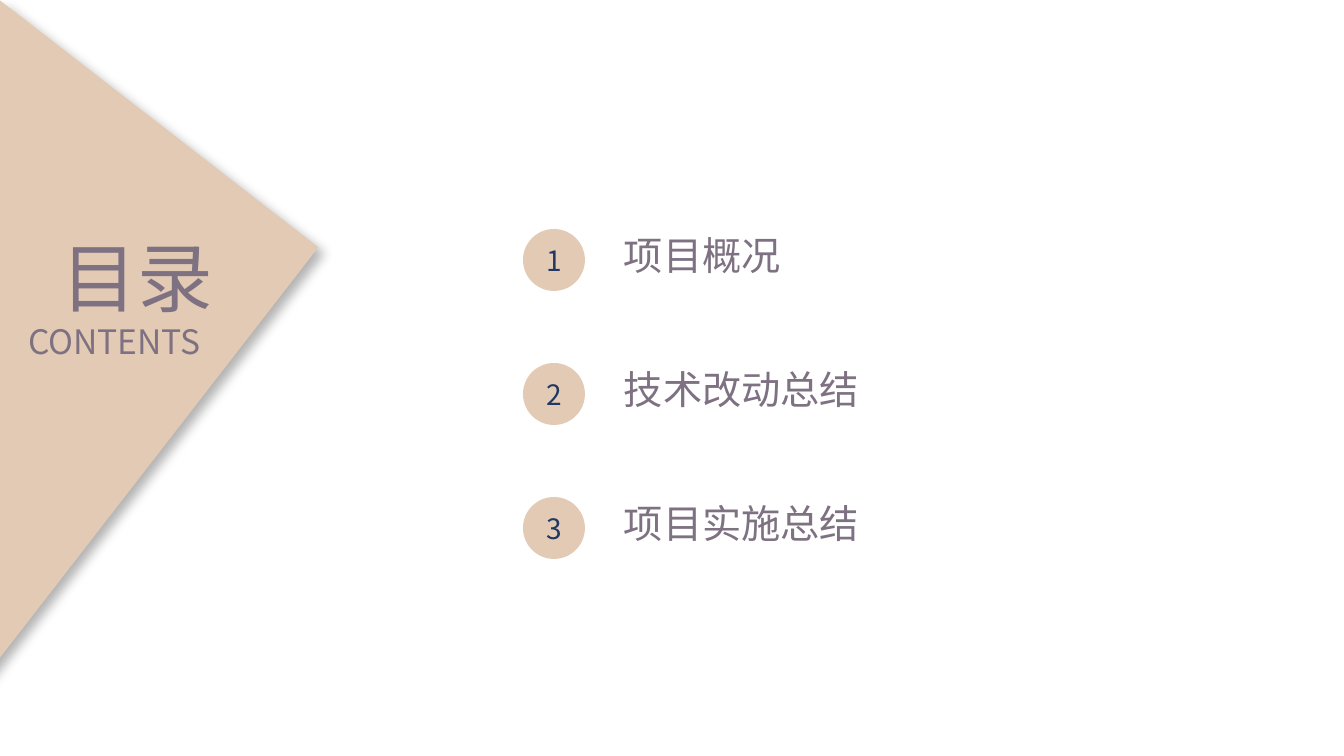
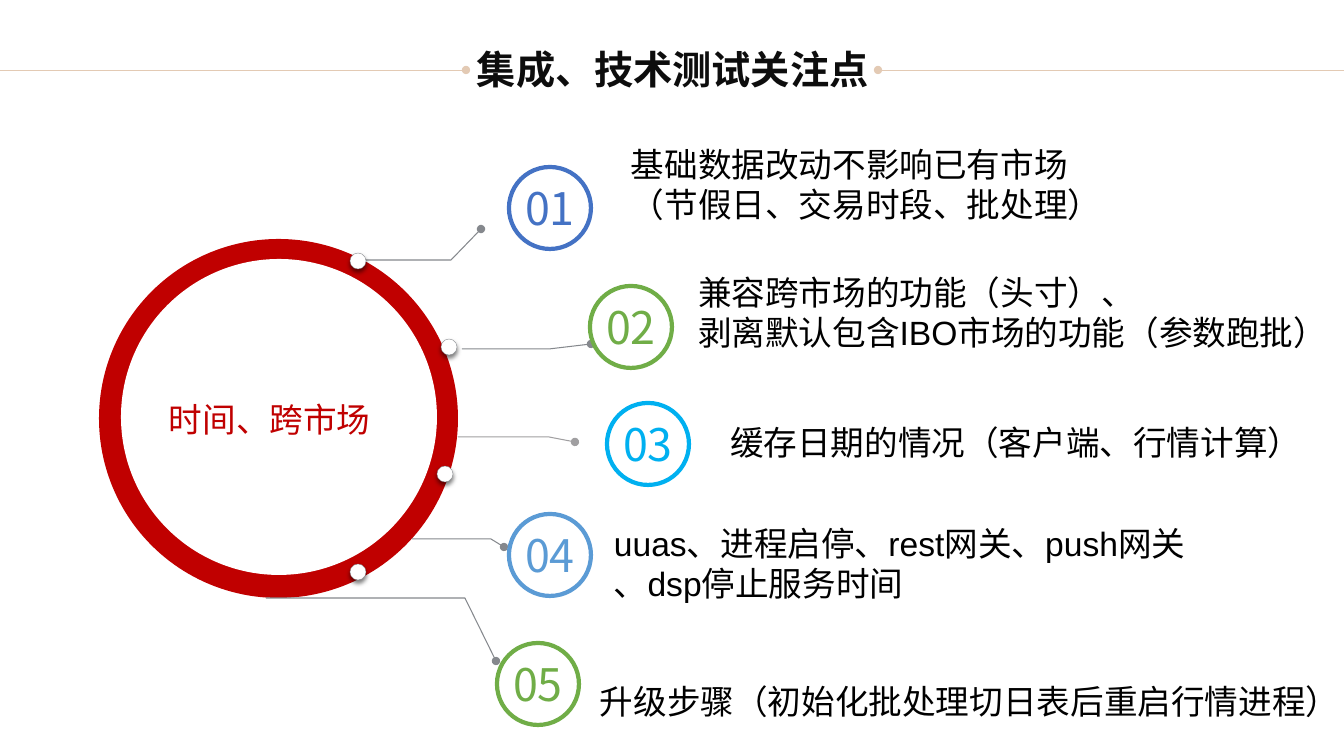
from lxml.etree import SubElement
from pptx import Presentation
from pptx.dml.color import RGBColor
from pptx.enum.shapes import MSO_CONNECTOR, MSO_SHAPE
from pptx.enum.text import MSO_ANCHOR, PP_ALIGN
from pptx.oxml.ns import qn
from pptx.util import Pt

PX = 9071
W, H = 1344, 756
CJK = "Noto Sans CJK SC"
COLORS = {
    "sand": "E3CAB4", "mauve": "7E7182", "navy": "203864", "ink": "0D0D0D",
    "black": "000000", "white": "FFFFFF", "red": "C00000", "blue": "4472C4",
    "green": "70AD47", "cyan": "00B0F0", "sky": "5B9BD5",
    "gray": "85888D", "silver": "A09FA1",
}
RGB = {name: RGBColor.from_string(value) for name, value in COLORS.items()}


def write(sp, lines, size, color, font=CJK, align=PP_ALIGN.LEFT, bold=False, spacing=None):
    tf = sp.text_frame
    tf.word_wrap = False
    tf.vertical_anchor = MSO_ANCHOR.MIDDLE
    tf.margin_left = tf.margin_right = tf.margin_top = tf.margin_bottom = 0
    for i, line in enumerate(lines):
        p = tf.add_paragraph() if i else tf.paragraphs[0]
        p.alignment = align
        p.line_spacing = spacing
        r = p.add_run()
        r.text = line
        r.font.name = font
        r.font.size = Pt(size)
        r.font.bold = bold
        r.font.color.rgb = RGB[color]
        SubElement(r.font._element, qn("a:ea")).set("typeface", CJK)


def add_circle(s, cx, cy, d, fill=None, line=None, width=0):
    sp = s.shapes.add_shape(
        MSO_SHAPE.OVAL, (cx - d // 2) * PX, (cy - d // 2) * PX, d * PX, d * PX)
    sp.shadow.inherit = False
    if fill:
        sp.fill.solid()
        sp.fill.fore_color.rgb = RGB[fill]
    else:
        sp.fill.background()
    if line:
        sp.line.color.rgb = RGB[line]
        sp.line.width = Pt(width)
    else:
        sp.line.fill.background()
    return sp


prs = Presentation()
prs.slide_width, prs.slide_height = W * PX, H * PX
blank = prs.slide_layouts[6]
shadows = []
ovals = []

s = prs.slides.add_slide(blank)
sp = s.shapes.add_shape(MSO_SHAPE.RIGHT_TRIANGLE, -322 * PX, 157 * PX, 596 * PX, 404 * PX)
sp.rotation = 127.8
sp._element.spPr.xfrm.set("flipV", "1")
sp.shadow.inherit = False
sp.fill.solid()
sp.fill.fore_color.rgb = RGB["sand"]
sp.line.fill.background()
shadows.append((sp, 8, 6, 45, 30))

for text, x, middle, w, h, size in [
    ("目录", 62, 276, 154, 92, 54),
    ("CONTENTS", 28, 341, 188, 40, 24),
]:
    sp = s.shapes.add_textbox(x * PX, (middle - h // 2) * PX, w * PX, h * PX)
    write(sp, [text], size, "mauve")

for i, topic in enumerate(["项目概况", "技术改动总结", "项目实施总结"]):
    cy = 260 + 134 * i
    sp = add_circle(s, 554, cy, 62, "sand")
    write(sp, [str(i + 1)], 20, "navy", align=PP_ALIGN.CENTER)
    sp = s.shapes.add_textbox(624 * PX, (cy - 29) * PX, 240 * PX, 48 * PX)
    write(sp, [topic], 28, "mauve")

s = prs.slides.add_slide(blank)
for x1, x2, end in [(0, 466, "a:tailEnd"), (878, W, "a:headEnd")]:
    sp = s.shapes.add_connector(MSO_CONNECTOR.STRAIGHT, x1 * PX, 70 * PX, x2 * PX, 70 * PX)
    sp.line.color.rgb = RGB["sand"]
    sp.line.width = Pt(0.5)
    SubElement(sp._element.spPr, qn("a:effectLst"))
    ovals.append((sp, end))

sp = s.shapes.add_textbox(477 * PX, 45 * PX, 392 * PX, 48 * PX)
write(sp, ["集成、技术测试关注点"], 28, "ink", "Arial", bold=True)

add_circle(s, 278, 418, 359, "red")
add_circle(s, 279, 417, 316, "white")
sp = s.shapes.add_textbox(169 * PX, 399 * PX, 210 * PX, 40 * PX)
write(sp, ["时间、跨市场"], 24, "red", "Arial")

for color, start, *points in [
    ("gray", (365, 260), (451, 260), (481, 229)),
    ("gray", (462, 349), (549, 349), (591, 344)),
    ("silver", (458, 437), (549, 437), (575, 442)),
    ("gray", (412, 539), (491, 539), (504, 547)),
    ("gray", (266, 598), (465, 598), (496, 661)),
]:
    fb = s.shapes.build_freeform(*start, scale=PX)
    fb.add_line_segments(points, close=False)
    sp = fb.convert_to_shape()
    sp.shadow.inherit = False
    sp.fill.background()
    sp.line.color.rgb = RGB[color]
    sp.line.width = Pt(0.75)
    ovals.append((sp, "a:tailEnd"))

for cx, cy in [(358, 261), (449, 347), (445, 474), (358, 572)]:
    sp = add_circle(s, cx, cy, 16, "white", "gray", 0.25)
    shadows.append((sp, 3, 2, 90, 50))

points = [
    (550, 208, "blue", 631, 184, ["基础数据改动不影响已有市场", "（节假日、交易时段、批处理）"]),
    (631, 327, "green", 698, 312, ["兼容跨市场的功能（头寸）、", "剥离默认包含IBO市场的功能（参数跑批）"]),
    (648, 444, "cyan", 730, 442, ["缓存日期的情况（客户端、行情计算）"]),
    (550, 555, "sky", 614, 563, ["uuas、进程启停、rest网关、push网关", "、dsp停止服务时间"]),
    (538, 684, "green", 600, 701, ["升级步骤（初始化批处理切日表后重启行情进程）"]),
]
for i, (cx, cy, color, x, middle, lines) in enumerate(points, 1):
    sp = add_circle(s, cx, cy, 82, line=color, width=3)
    write(sp, [f"{i:02}"], 32, color, align=PP_ALIGN.CENTER)
    h = 40 * len(lines)
    sp = s.shapes.add_textbox(x * PX, (middle - h // 2) * PX, (W - x) * PX, h * PX)
    write(sp, lines, 24, "black", "Arial", spacing=Pt(28.6))

for sp, blur, dist, angle, alpha in shadows:
    effects = sp._element.spPr.find(qn("a:effectLst"))
    shadow = SubElement(effects, qn("a:outerShdw"), blurRad=str(Pt(blur)), dist=str(Pt(dist)),
                        dir=str(angle * 60000), algn="ctr", rotWithShape="0")
    color = SubElement(shadow, qn("a:srgbClr"), val=COLORS["black"])
    SubElement(color, qn("a:alpha"), val=str(alpha * 1000))

for sp, end in ovals:
    SubElement(sp.line._get_or_add_ln(), qn(end), type="oval")

prs.save("out.pptx")
